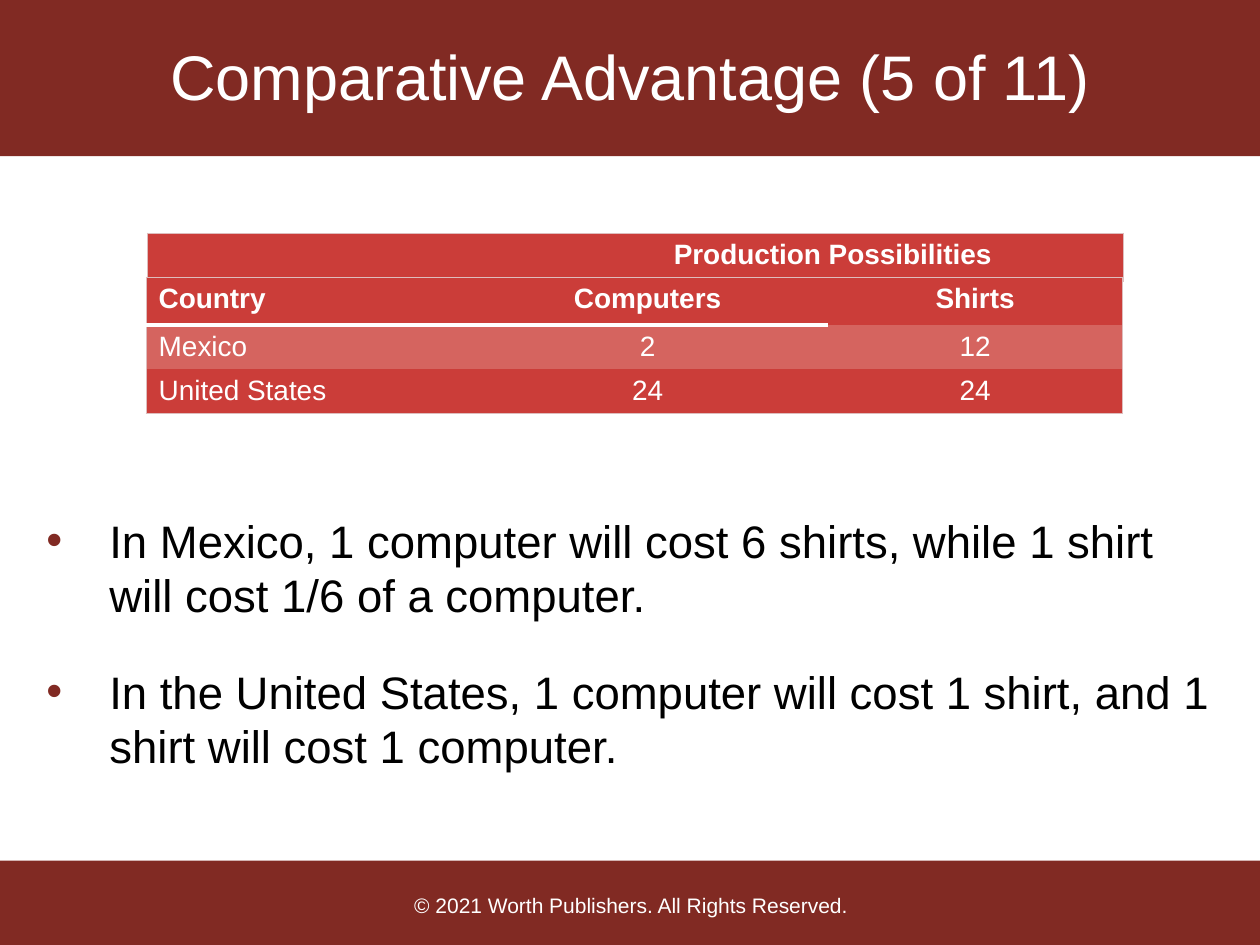
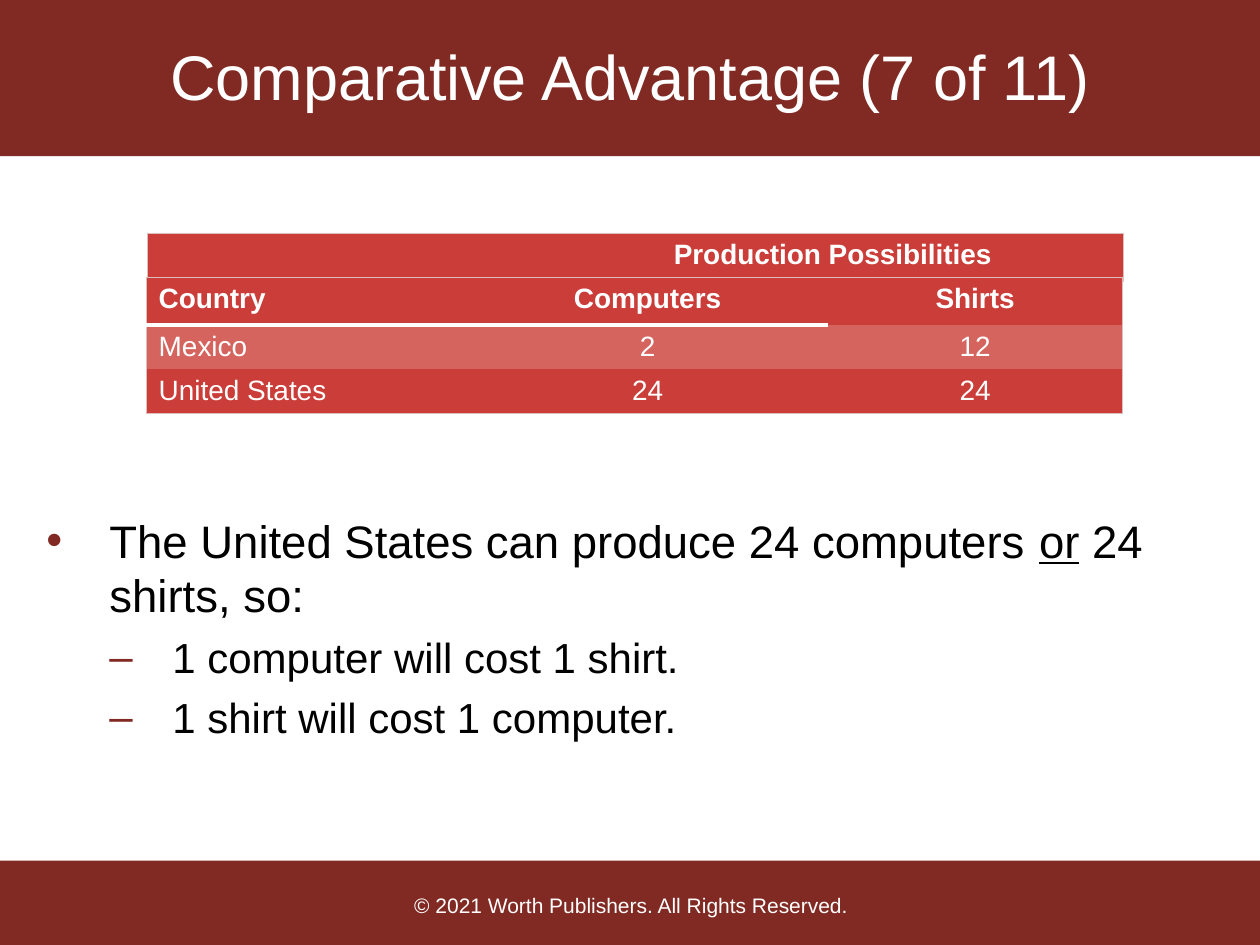
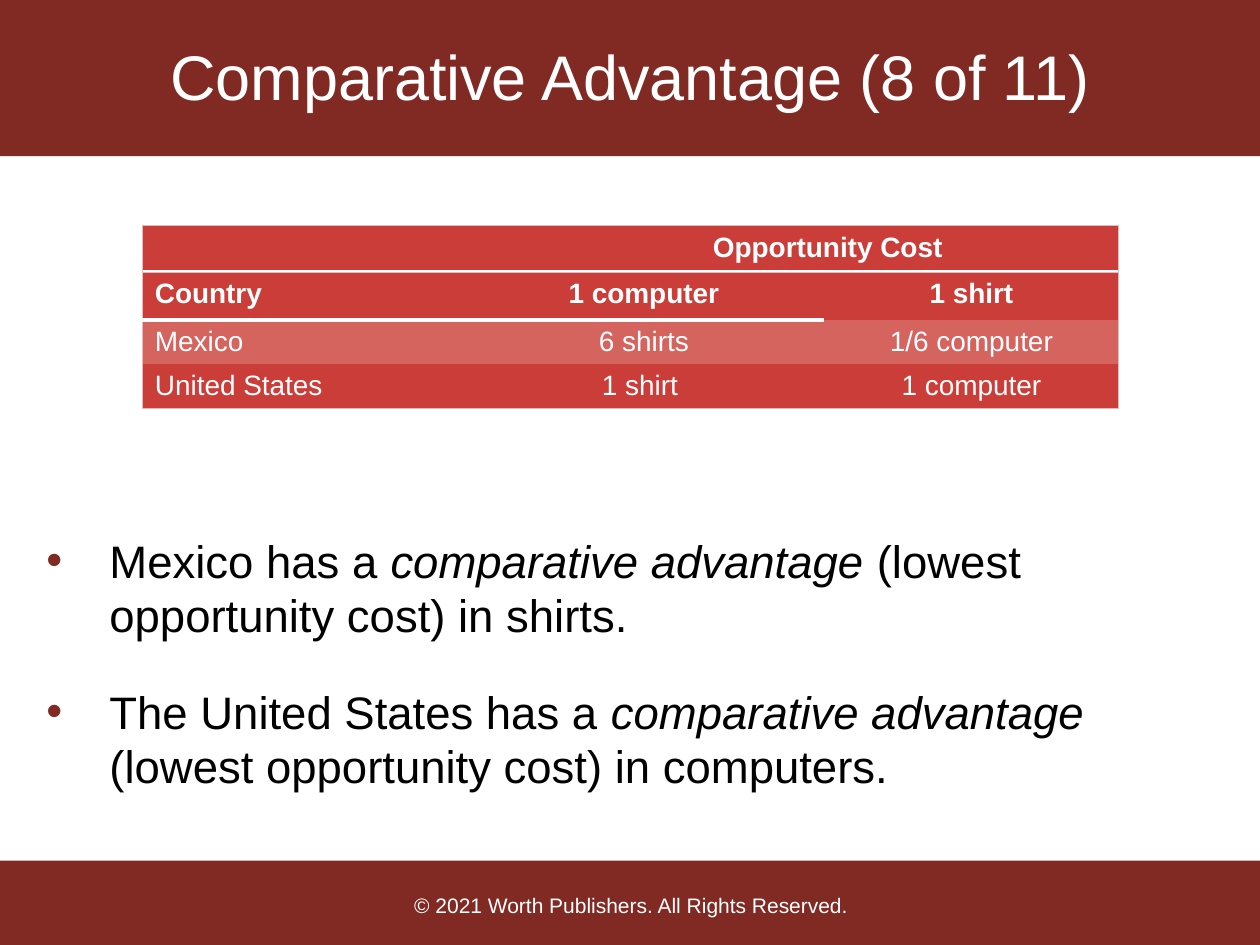
from dataclasses import dataclass

from lxml import etree
from pptx import Presentation
from pptx.dml.color import RGBColor
from pptx.enum.shapes import MSO_SHAPE
from pptx.enum.text import MSO_ANCHOR, PP_ALIGN
from pptx.oxml.ns import qn
from pptx.util import Inches, Pt

RECTANGLE = MSO_SHAPE.RECTANGLE
MIDDLE = MSO_ANCHOR.MIDDLE
LEFT, CENTER = PP_ALIGN.LEFT, PP_ALIGN.CENTER
NO_STYLE_NO_GRID = "{2D5ABB26-0587-4C30-8999-92F81FD0307C}"


@dataclass(frozen=True)
class Theme:
    font: str = "Arial"
    band: str = "812A23"
    cell: str = "CB3D39"
    stripe: str = "D5645F"
    border: str = "DEBDBD"
    white: str = "FFFFFF"
    black: str = "000000"
    title_size: int = 36
    body_sizes: tuple = (26, 24)
    table_size: int = 16
    footer_size: int = 12


THEME = Theme()

FOOTER = "© 2021 Worth Publishers. All Rights Reserved."
BANDS = [  # left, top, width, height, text
    (0, 0, 10, 1.24, ""),
    (-0.01, 6.83, 10.02, 0.69, ""),
    (0.02, 6.86, 9.98, 0.65, FOOTER),
]

PRODUCTION = {
    "heading": "Production Possibilities",
    "heading_at": (1.17, 1.85),
    "grid_at": (1.16, 2.2),
    "rows": [
        ("Country", "Computers", "Shirts"),
        ("Mexico", "2", "12"),
        ("United States", "24", "24"),
    ],
}
OPPORTUNITY_COST = {
    "heading": "Opportunity Cost",
    "heading_at": (1.13, 1.79),
    "grid_at": (1.13, 2.16),
    "rows": [
        ("Country", "1 computer", "1 shirt"),
        ("Mexico", "6 shirts", "1/6 computer"),
        ("United States", "1 shirt ", "1 computer"),
    ],
}
COLUMN_WIDTHS = (2.55, 2.86, 2.34)
ROW_HEIGHTS = (0.38, 0.35, 0.35)
HEADING_HEIGHT = 0.37
HEADING_INDENT = 3.13

# Each bullet: level, space after in points, runs of (text, style)
SLIDES = [
    {
        "title": "Comparative Advantage (5 of 11)",
        "table": PRODUCTION,
        "body_top": 4.02,
        "bullets": [
            (0, 18, [("In Mexico, 1 computer will cost 6 shirts, while 1 shirt "
                      "will cost 1/6 of a computer.", "")]),
            (0, 18, [("In the United States, 1 computer will cost 1 shirt, and 1 "
                      "shirt will cost 1 computer.", "")]),
        ],
    },
    {
        "title": "Comparative Advantage (7 of 11)",
        "table": PRODUCTION,
        "body_top": 4.02,
        "bullets": [
            (0, 0, [("The United States can produce 24 computers ", ""),
                    ("or", "underline"), (" 24 shirts, so:", "")]),
            (1, 0, [("1 computer will cost 1 shirt.", "")]),
            (1, 0, [("1 shirt will cost 1 computer.", "")]),
        ],
    },
    {
        "title": "Comparative Advantage (8 of 11)",
        "table": OPPORTUNITY_COST,
        "body_top": 4.18,
        "bullets": [
            (0, 18, [("Mexico has a ", ""), ("comparative advantage", "italic"),
                     (" (lowest opportunity cost) in shirts.", "")]),
            (0, 0, [("The United States has a ", ""),
                    ("comparative advantage ", "italic"),
                    ("(lowest opportunity cost) in computers.", "")]),
        ],
    },
]


def set_font(paragraph, size, color, bold=False):
    font = paragraph.font
    font.name, font.size, font.bold = THEME.font, Pt(size), bold
    font.color.rgb = RGBColor.from_string(color)


def paint(target, color):
    target.fill.solid()
    target.fill.fore_color.rgb = RGBColor.from_string(color)


def add_element(parent, tag, **attributes):
    return etree.SubElement(parent, qn(tag), attributes)


def move_bands_to_layout(slide, layout):
    """Draw the shared bands once and hand them to the layout behind every slide."""
    for placeholder in list(layout.placeholders)[1:]:
        placeholder.element.getparent().remove(placeholder.element)
    for *box, text in BANDS:
        band = slide.shapes.add_shape(RECTANGLE, *map(Inches, box))
        band.shadow.inherit = False
        paint(band, THEME.band)
        band.line.fill.background()
        if text:
            band.text_frame.text = text
            band.text_frame.vertical_anchor = MIDDLE
            paragraph = band.text_frame.paragraphs[0]
            paragraph.alignment = CENTER
            set_font(paragraph, THEME.footer_size, THEME.white)
        layout.shapes.element.append(band.element)


def set_title(slide, text):
    title = slide.shapes.title
    title.left, title.top, title.width, title.height = map(Inches, (0, 0.02, 10, 1.16))
    title.text_frame.text = text
    title.text_frame.vertical_anchor = MIDDLE
    paragraph = title.text_frame.paragraphs[0]
    paragraph.alignment = CENTER
    set_font(paragraph, THEME.title_size, THEME.white)


def set_borders(cell, borders):
    """Apply {side: (color, points)}; sides are L, R, T and B."""
    properties = cell._tc.get_or_add_tcPr()
    position = 0
    for side in "LRTB":
        if side in borders:
            color, points = borders[side]
            line = etree.Element(qn(f"a:ln{side}"), w=str(Pt(points)))
            add_element(add_element(line, "a:solidFill"), "a:srgbClr", val=color)
            properties.insert(position, line)
            position += 1


def add_plain_table(slide, position, widths, heights):
    frame = slide.shapes.add_table(
        len(heights), len(widths), *map(Inches, (*position, sum(widths), sum(heights))))
    table = frame.table
    table._tbl.tblPr.find(qn("a:tableStyleId")).text = NO_STYLE_NO_GRID
    for column, width in zip(table.columns, widths):
        column.width = Inches(width)
    for row, height in zip(table.rows, heights):
        row.height = Inches(height)
    return table


def fill_cell(cell, text, color, alignment, bold, borders):
    cell.text = text
    paint(cell, color)
    paragraph = cell.text_frame.paragraphs[0]
    paragraph.alignment = alignment
    set_font(paragraph, THEME.table_size, THEME.white, bold)
    set_borders(cell, borders)


def add_country_table(slide, content):
    thin, thick = (THEME.border, 0.75), (THEME.white, 3)
    heading = add_plain_table(
        slide, content["heading_at"], [sum(COLUMN_WIDTHS)], [HEADING_HEIGHT]).cell(0, 0)
    fill_cell(heading, content["heading"], THEME.cell, CENTER, True,
              {"L": thin, "R": thin, "T": thin, "B": thick})
    heading.margin_left = Inches(0.1 + HEADING_INDENT)

    grid = add_plain_table(slide, content["grid_at"], COLUMN_WIDTHS, ROW_HEIGHTS)
    last_row, last_column = len(ROW_HEIGHTS) - 1, len(COLUMN_WIDTHS) - 1
    for r, row in enumerate(content["rows"]):
        for c, text in enumerate(row):
            borders = {}
            if c == 0:
                borders["L"] = thin
            if c == last_column:
                borders["R"] = thin
            if r == 0:
                borders["T"] = thin
                if c < last_column:
                    borders["B"] = thick
            if r == last_row:
                borders["B"] = thin
            fill_cell(grid.cell(r, c), text, THEME.stripe if r == 1 else THEME.cell,
                      CENTER if c else LEFT, r == 0, borders)


def add_bullets(slide, top, bullets):
    box = slide.shapes.add_textbox(*map(Inches, (0.27, top, 9.47, 2.07)))
    frame = box.text_frame
    frame.word_wrap = True
    for index, (level, space_after, runs) in enumerate(bullets):
        paragraph = frame.add_paragraph() if index else frame.paragraphs[0]
        size = THEME.body_sizes[level]
        paragraph.level = level
        properties = paragraph._p.get_or_add_pPr()
        properties.set("marL", str(Inches(0.5 * (level + 1))))
        properties.set("indent", str(Inches(-0.5)))
        add_element(add_element(properties, "a:buClr"), "a:srgbClr", val=THEME.band)
        add_element(properties, "a:buFont", typeface=THEME.font)
        add_element(properties, "a:buChar", char="•–"[level])
        paragraph.space_before = Pt(0.23 * size if index else 0)
        paragraph.space_after = Pt(space_after)
        set_font(paragraph, size, THEME.black)
        for text, style in runs:
            run = paragraph.add_run()
            run.text = text
            if style:
                setattr(run.font, style, True)


def main():
    presentation = Presentation()
    presentation.slide_width, presentation.slide_height = Inches(10), Inches(7.5)
    layout = presentation.slide_layouts[5]
    for index, content in enumerate(SLIDES):
        slide = presentation.slides.add_slide(layout)
        if index == 0:
            move_bands_to_layout(slide, layout)
        set_title(slide, content["title"])
        add_country_table(slide, content["table"])
        add_bullets(slide, content["body_top"], content["bullets"])
    presentation.save("out.pptx")


if __name__ == "__main__":
    main()
